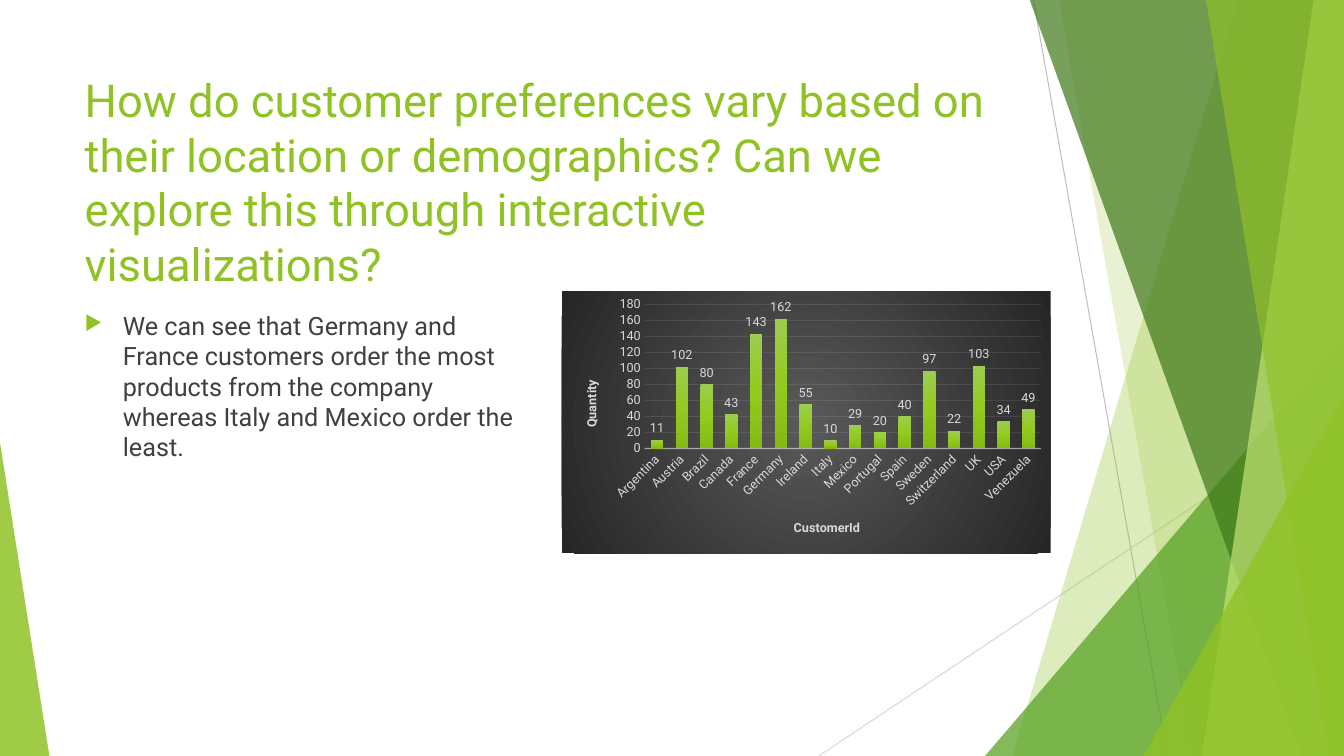
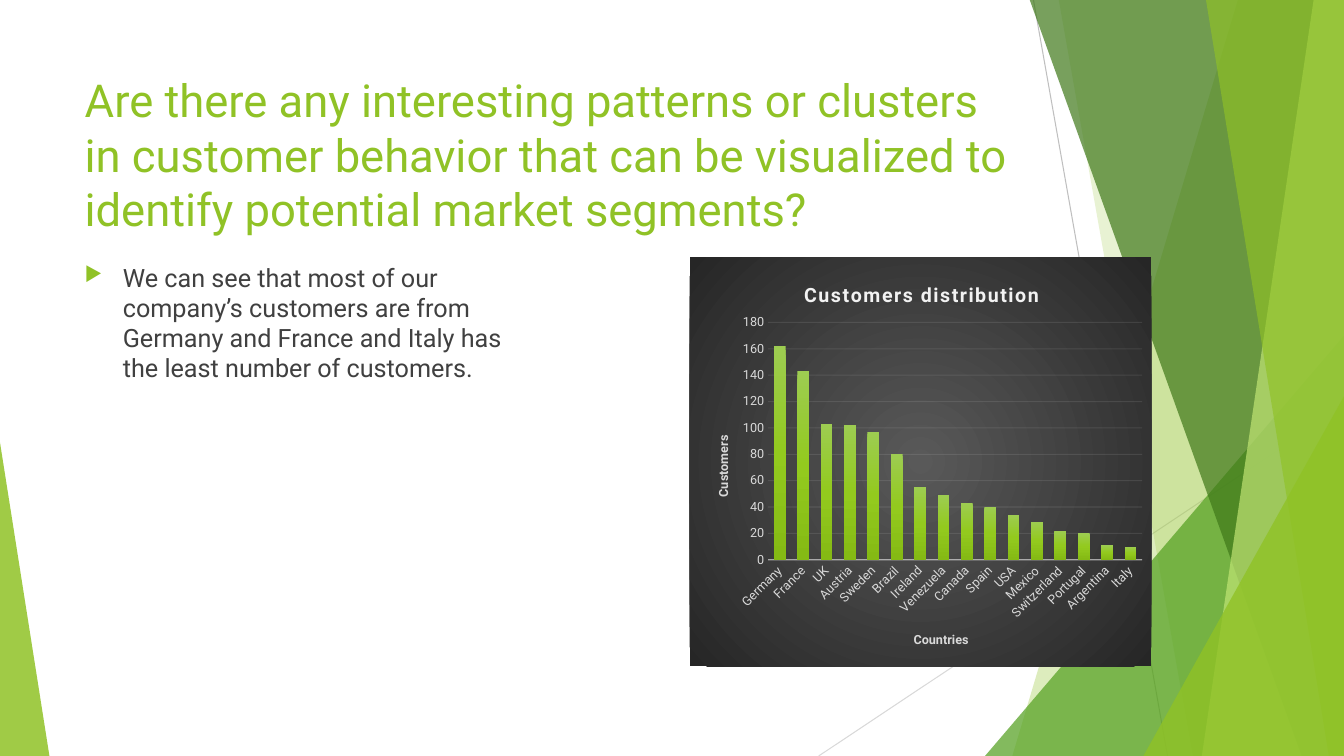
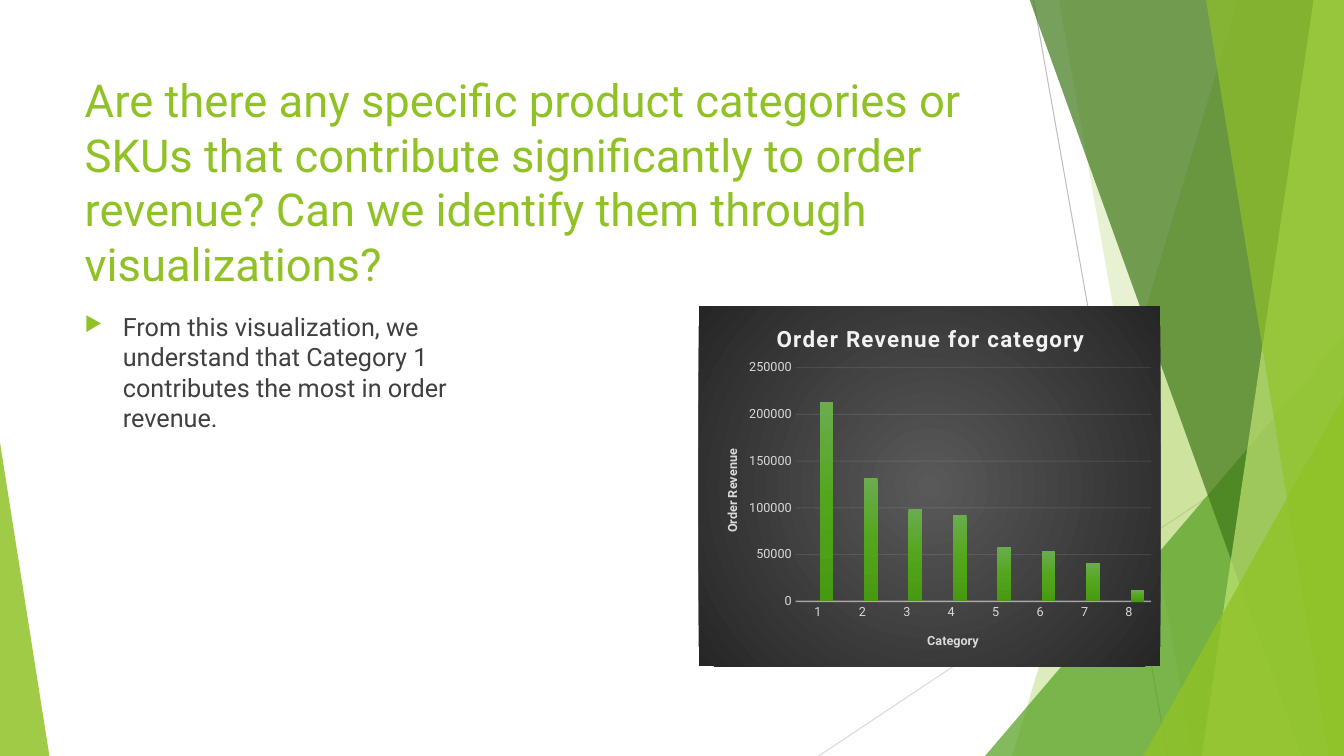
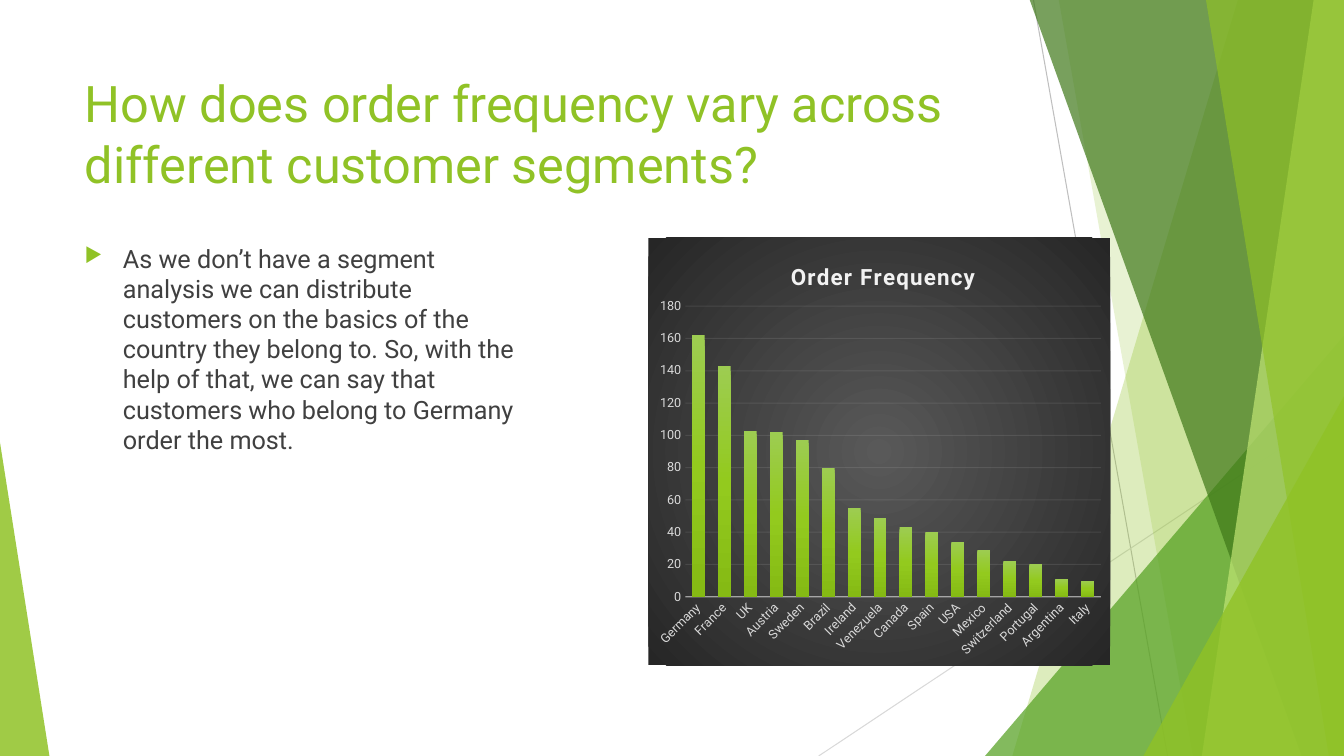
"""Four slides on customer orders, each with a question, a finding and a column chart."""
from dataclasses import dataclass

from pptx import Presentation
from pptx import util as u
from pptx.chart import data as chart_data
from pptx.dml import color as dml
from pptx.enum import chart as charts, shapes, text
from pptx.oxml import parse_xml
from pptx.oxml import ns, xmlchemy


@dataclass(frozen=True)
class Theme:
    font: str = "Roboto"
    lime: str = "90C226"
    green: str = "54A021"
    forest: str = "3F7819"
    pale: str = "C0E474"
    body: str = "404040"
    label: str = "D9D9D9"
    light: str = "F2F2F2"
    rule: str = "BFBFBF"
    panel: tuple = ("595959", "262626")
    columns: tuple = (("9DCC51", "93CA1E", "85BA14"), ("6BAC4F", "53A61B", "489912"))
    body_size: float = 18
    label_size: float = 9


theme = Theme()
rgb = dml.RGBColor.from_string


def write(frame, words, size, color, bold=False, align=None):
    para = frame.paragraphs[0]
    if align is not None:
        para.alignment = align
    span = para.add_run()
    span.text = words
    span.font.name = theme.font
    span.font.size = u.Pt(size)
    span.font.bold = bold
    span.font.color.rgb = rgb(color)
    return para


def place(parent, index, inner=False, **edges):
    old = parent.find(ns.qn("c:layout"))
    if old is not None:
        parent.remove(old)
    target = '<c:layoutTarget val="inner"/>' if inner else ""
    modes = '<c:xMode val="edge"/><c:yMode val="edge"/>'
    sizes = "".join(f'<c:{name} val="{value}"/>' for name, value in edges.items())
    parent.insert(index, parse_xml(
        f'<c:layout {ns.nsdecls("c")}><c:manualLayout>{target}{modes}{sizes}'
        "</c:manualLayout></c:layout>"))


orders = {
    "Argentina": 11, "Austria": 102, "Brazil": 80, "Canada": 43, "France": 143, "Germany": 162,
    "Ireland": 55, "Italy": 10, "Mexico": 29, "Portugal": 20, "Spain": 40, "Sweden": 97,
    "Switzerland": 22, "UK": 103, "USA": 34, "Venezuela": 49,
}
ranked = dict(sorted(orders.items(), key=lambda item: -item[1]))
revenue = [213000, 132000, 99000, 92000, 58000, 54000, 41000, 12000]

pages = [
    dict(
        title="How do customer preferences vary based on their location or demographics? "
              "Can we explore this through interactive visualizations?",
        title_size=32.4, title_height=1.93, body_top=3.03,
        body="We can see that Germany and France customers order the most products from the "
             "company whereas Italy and Mexico order the least.",
        frame=(5.57, 2.89, 4.85, 2.6), plot=(0.17, 0.05, 0.81, 0.55),
        cats=list(orders), series={"Series 1": list(orders.values())},
        top=180, step=20, tilt=True, labels=True, heading=None,
        axes=(("CustomerId", 0.47, 0.86), ("Quantity", 0.04, 0.33)),
    ),
    dict(
        title="Are there any interesting patterns or clusters in customer behavior that can be "
              "visualized to identify potential market segments?",
        title_size=32.4, title_height=1.7, body_top=2.55,
        body="We can see that most of our company’s customers are from Germany and France and "
             "Italy has the least number of customers.",
        frame=(6.84, 2.55, 4.58, 4.06), plot=(0.17, 0.16, 0.81, 0.58),
        cats=list(ranked), series={"Series 1": list(ranked.values())},
        top=180, step=20, tilt=True, labels=False,
        heading=("Customers distribution", 14, 0.24, 0.05),
        axes=(("Countries", 0.48, 0.91), ("Customers", 0.05, 0.43)),
    ),
    dict(
        title="Are there any specific product categories or SKUs that contribute significantly "
              "to order revenue? Can we identify them through visualizations?",
        title_size=32.4, title_height=1.44, body_top=3.04,
        body="From this visualization, we understand that Category 1 contributes the most in "
             "order revenue.",
        frame=(6.93, 3.04, 4.58, 3.57), plot=(0.21, 0.17, 0.77, 0.65),
        cats=[str(number) for number in range(1, 9)],
        series={"Series 1": [0] * len(revenue), "Series 2": revenue},
        top=250000, step=50000, tilt=False, labels=False,
        heading=("Order Revenue for category", 16, 0.16, 0.04),
        axes=(("Category", 0.49, 0.9), ("Order Revenue", 0.05, 0.39)),
    ),
    dict(
        title="How does order frequency vary across different customer segments?",
        title_size=36, title_height=1.44, body_top=2.36,
        body="As we don’t have a segment analysis we can distribute customers on the basics of "
             "the country they belong to. So, with the help of that, we can say that customers "
             "who belong to Germany order the most.",
        frame=(6.43, 2.36, 4.58, 4.24), plot=(0.08, 0.16, 0.9, 0.68),
        cats=list(ranked), series={"Order Frequency": list(ranked.values())},
        top=180, step=20, tilt=True, labels=False,
        heading=("Order Frequency", 16, 0.3, 0.05), axes=(),
    ),
]

deck = Presentation()
deck.slide_width, deck.slide_height = u.Inches(13.33), u.Inches(7.5)
layout = deck.slide_layouts[5]
slides = [deck.slides.add_slide(layout) for page in pages]

canvas = slides[0].shapes
facets = []
for start, end, color in [
    ((10.25, 0), (11.58, 7.5), theme.rule),
    ((13.33, 4.03), (8.12, 7.5), theme.label),
]:
    ray = canvas.add_connector(
        shapes.MSO_CONNECTOR.STRAIGHT, *[u.Inches(value) for value in start + end])
    ray.line.color.rgb = rgb(color)
    ray.line.width = u.Pt(0.75)
    ray.element.spPr.append(xmlchemy.OxmlElement("a:effectLst"))
    facets.append(ray)

for kind, geometry, color, opacity in [
    ("band", (12.28, 10.04), theme.lime, 30),
    ("band", (10.5, 11.83), theme.lime, 20),
    ("triangle", (9.77, 3.33, 3.56, 4.17), theme.green, 72),
    ("band", (10.21, 12.91), theme.forest, 70),
    ("band", (13.03, 11.92), theme.pale, 70),
    ("band", (11.96, 13.18), theme.lime, 65),
    ("triangle", (11.34, 3.93, 1.99, 3.57), theme.lime, 80),
    ("triangle", (0, 4.39, 0.49, 3.11), theme.lime, 85),
]:
    if kind == "band":
        upper, lower = geometry
        outline = canvas.build_freeform(u.Inches(upper), u.Inches(-0.01))
        outline.add_line_segments(
            [(u.Inches(x), u.Inches(y)) for x, y in [(13.33, -0.01), (13.33, 7.5), (lower, 7.5)]])
        facet = outline.convert_to_shape()
    else:
        facet = canvas.add_shape(
            shapes.MSO_SHAPE.ISOSCELES_TRIANGLE, *[u.Inches(value) for value in geometry])
        facet.adjustments[0] = 1 if geometry[0] else 0
    facet.shadow.inherit = False
    facet.line.fill.background()
    facet.fill.solid()
    facet.fill.fore_color.rgb = rgb(color)
    alpha = xmlchemy.OxmlElement("a:alpha")
    alpha.set("val", str(opacity * 1000))
    facet.element.spPr.find(".//" + ns.qn("a:srgbClr")).append(alpha)
    facets.append(facet)

for facet in facets:
    layout.shapes.element.append(facet.element)

for slide, page in zip(slides, pages):
    title = slide.shapes.title
    title.left, title.top = u.Inches(0.74), u.Inches(0.67)
    title.width, title.height = u.Inches(9.4), u.Inches(page["title_height"])
    title.text_frame.auto_size = text.MSO_AUTO_SIZE.NONE
    title.text_frame.vertical_anchor = text.MSO_ANCHOR.TOP
    write(title.text_frame, page["title"], page["title_size"], theme.lime,
          align=text.PP_ALIGN.LEFT)

    body_top = page["body_top"]
    box = slide.shapes.add_textbox(
        u.Inches(0.74), u.Inches(body_top), u.Inches(4.58), u.Inches(6.61 - body_top))
    box.text_frame.word_wrap = True
    para = write(box.text_frame, page["body"], theme.body_size, theme.body)
    para.space_before = u.Pt(10)
    props = para._p.get_or_add_pPr()
    props.set("marL", str(u.Inches(0.38)))
    props.set("indent", str(u.Inches(-0.38)))
    for bullet in [
        f'<a:buClr {ns.nsdecls("a")}><a:srgbClr val="{theme.lime}"/></a:buClr>',
        f'<a:buSzPct {ns.nsdecls("a")} val="80000"/>',
        f'<a:buChar {ns.nsdecls("a")} char="▶"/>',
    ]:
        props.append(parse_xml(bullet))

    numbers = chart_data.CategoryChartData()
    numbers.categories = page["cats"]
    for name, values in page["series"].items():
        numbers.add_series(name, values)
    chart = slide.shapes.add_chart(
        charts.XL_CHART_TYPE.COLUMN_CLUSTERED,
        *[u.Inches(value) for value in page["frame"]], numbers).chart
    chart.font.name, chart.font.size = theme.font, u.Pt(10)
    chart.has_legend = False
    chart.has_title = page["heading"] is not None
    plot = chart.plots[0]
    plot.gap_width, plot.overlap, plot.vary_by_categories = 100, -24, False

    root = chart.element
    area = root.find(".//" + ns.qn("c:plotArea"))
    place(area, 0, inner=True, **dict(zip("xywh", page["plot"])))
    if page["heading"]:
        words, size, x, y = page["heading"]
        write(chart.chart_title.text_frame, words, size, theme.light, bold=True)
        heading = root.find(f'{ns.qn("c:chart")}/{ns.qn("c:title")}')
        heading.find(".//" + ns.qn("a:rPr")).set("spc", "100")
        place(heading, 1, x=x, y=y)

    category, value = chart.category_axis, chart.value_axis
    value.minimum_scale, value.maximum_scale, value.major_unit = 0, page["top"], page["step"]
    value.has_major_gridlines = True
    value.format.line.fill.background()
    for axis in (category, value):
        axis.major_tick_mark = axis.minor_tick_mark = charts.XL_TICK_MARK.NONE
        axis.tick_labels.font.name = theme.font
        axis.tick_labels.font.size = u.Pt(theme.label_size)
        axis.tick_labels.font.color.rgb = rgb(theme.label)
    if page["tilt"]:
        tilt = area.find("/".join(map(ns.qn, ("c:catAx", "c:txPr", "a:bodyPr"))))
        tilt.set("rot", "-2700000")
        tilt.set("vert", "horz")

    for axis, tag, (words, x, y) in zip((category, value), ("c:catAx", "c:valAx"), page["axes"]):
        write(axis.axis_title.text_frame, words, theme.label_size, theme.label, bold=True)
        axis_title = area.find(f"{ns.qn(tag)}/{ns.qn('c:title')}")
        if axis is value:
            axis_title.find(".//" + ns.qn("a:bodyPr")).set("rot", "-5400000")
        place(axis_title, 1, x=x, y=y)

    for line, tags, width, opacity in [
        (category.format.line, ("c:catAx", "c:spPr"), 1, 54),
        (value.major_gridlines.format.line, ("c:valAx", "c:majorGridlines", "c:spPr"), 0.75, 10),
    ]:
        line.color.rgb = rgb(theme.light)
        line.width = u.Pt(width)
        alpha = xmlchemy.OxmlElement("a:alpha")
        alpha.set("val", str(opacity * 1000))
        area.find("/".join(map(ns.qn, tags))).find(".//" + ns.qn("a:srgbClr")).append(alpha)

    if page["labels"]:
        plot.has_data_labels = True
        labels = plot.data_labels
        labels.show_value = True
        labels.position = charts.XL_LABEL_POSITION.OUTSIDE_END
        labels.font.name, labels.font.size = theme.font, u.Pt(theme.label_size)
        labels.font.color.rgb = rgb(theme.label)

    panel = xmlchemy.OxmlElement("c:spPr")
    root.find(ns.qn("c:txPr")).addprevious(panel)
    radial = ('<a:path path="circle"><a:fillToRect l="50000" t="50000" r="50000" b="50000"/>'
              "</a:path>")
    linear = '<a:lin ang="5400000" scaled="0"/>'
    fills = [(panel, theme.panel, radial)]
    for series, colors in zip(area.iter(ns.qn("c:ser")), theme.columns):
        fills.append((series.get_or_add_spPr(), colors, linear))
    for props, colors, direction in fills:
        stops = "".join(
            f'<a:gs pos="{100000 * place_no // (len(colors) - 1)}"><a:srgbClr val="{color}"/></a:gs>'
            for place_no, color in enumerate(colors))
        props.append(parse_xml(
            f'<a:gradFill {ns.nsdecls("a")}><a:gsLst>{stops}</a:gsLst>{direction}</a:gradFill>'))
        props.append(parse_xml(f'<a:ln {ns.nsdecls("a")}><a:noFill/></a:ln>'))

deck.save("out.pptx")
